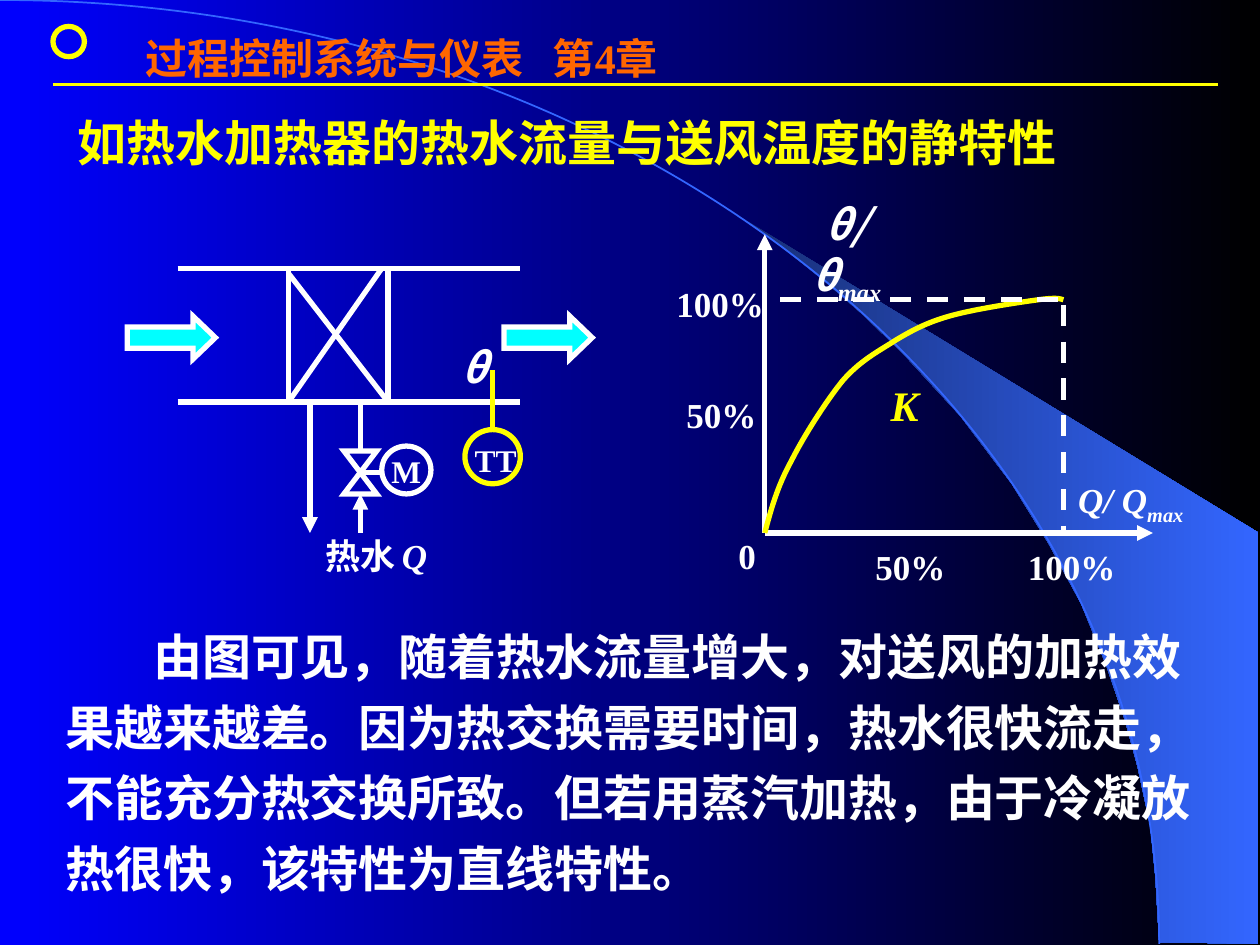
from lxml import etree
from pptx import Presentation
from pptx import util as u
from pptx.dml.color import RGBColor
from pptx.enum import dml, shapes, text
from pptx.oxml.ns import qn

COLORS = {
    "blue": "0000FF", "black": "000000", "navy": "182F76", "azure": "3366FF",
    "yellow": "FFFF00", "orange": "FF6600", "white": "FFFFFF", "cyan": "00FFFF",
}
LATIN, CHINESE = "Times New Roman", "Noto Sans CJK SC"
SHAPE = shapes.MSO_SHAPE


def rgb(name):
    return RGBColor.from_string(COLORS[name])


class SlideBuilder:
    """Holds the current slide and its default style."""

    def __init__(self, slide, weight=3, color="white"):
        self.slide, self.weight, self.color = slide, weight, color

    def gradient(self, fill, first, last):
        fill.gradient()
        fill.gradient_angle = 0
        for stop, name, position in zip(fill.gradient_stops, (first, last), (0, 1)):
            stop.color.rgb = rgb(name)
            stop.position = position

    def outline(self, line, color=None, weight=None):
        line.color.rgb = rgb(color or self.color)
        line.width = u.Pt(weight or self.weight)

    def shape(self, kind, left, top, width, height, color=None, fill=None):
        shape = self.slide.shapes.add_shape(kind, *map(u.Inches, (left, top, width, height)))
        shape.shadow.inherit = False
        if fill:
            shape.fill.solid()
            shape.fill.fore_color.rgb = rgb(fill)
        else:
            shape.fill.background()
        self.outline(shape.line, color)
        etree.SubElement(shape.line._get_or_add_ln(), qn("a:miter"), lim="800000")
        return shape

    def line(self, x1, y1, x2, y2, color=None, weight=None, arrow=False, dash=False):
        connector = self.slide.shapes.add_connector(
            shapes.MSO_CONNECTOR.STRAIGHT, *map(u.Inches, (x1, y1, x2, y2)))
        self.outline(connector.line, color, weight)
        if dash:
            connector.line.dash_style = dml.MSO_LINE.DASH
        if arrow:
            etree.SubElement(connector.line._get_or_add_ln(), qn("a:tailEnd"), type="triangle")
        etree.SubElement(connector._element.spPr, qn("a:effectLst"))

    def freeform(self, points, close=False):
        points = [(u.Inches(x), u.Inches(y)) for x, y in points]
        builder = self.slide.shapes.build_freeform(*points[0])
        builder.add_line_segments(points[1:], close=close)
        shape = builder.convert_to_shape()
        shape.shadow.inherit = False
        return shape

    def area(self, points, first, last):
        shape = self.freeform(points, close=True)
        self.gradient(shape.fill, first, last)
        shape.line.fill.background()

    def curve(self, points, color, weight=None):
        """A start point, then three points for each cubic segment."""
        shape = self.freeform(points)
        shape.fill.background()
        self.outline(shape.line, color, weight)
        segments = list(shape._element.iter(qn("a:lnTo")))
        for start in range(0, len(segments), 3):
            first, *others = segments[start:start + 3]
            cubic = etree.Element(qn("a:cubicBezTo"))
            first.addprevious(cubic)
            for segment in (first, *others):
                cubic.append(segment[0])
                segment.getparent().remove(segment)

    def text(self, left, top, width, height, runs, size=20, color=None, italic=False,
             font=LATIN, align="CENTER", wrap=False, spacing=None, indent=0, tab=None):
        """Each run is its text, or (text, font) for a subscript."""
        box = self.slide.shapes.add_textbox(*map(u.Inches, (left, top, width, height)))
        frame = box.text_frame
        frame.word_wrap = wrap
        frame.auto_size = text.MSO_AUTO_SIZE.NONE
        paragraph = frame.paragraphs[0]
        paragraph.alignment = getattr(text.PP_ALIGN, align)
        if spacing:
            paragraph.line_spacing = spacing
        properties = paragraph._p.get_or_add_pPr()
        if indent:
            properties.set("indent", str(u.Inches(indent)))
        if tab:
            tabs = etree.SubElement(properties, qn("a:tabLst"))
            etree.SubElement(tabs, qn("a:tab"), pos=str(u.Inches(tab)), algn="l")
        for item in runs:
            subscript = isinstance(item, tuple)
            run = paragraph.add_run()
            run.text = item[0] if subscript else item
            run.font.name = item[1] if subscript else font
            run.font.size = u.Pt(size)
            run.font.bold, run.font.italic = True, italic
            run.font.color.rgb = rgb(color or self.color)
            run_properties = run.font._element
            if subscript:
                run_properties.set("baseline", "-25000")
            etree.SubElement(run_properties, qn("a:ea"), typeface=CHINESE)


def draw_backdrop(builder):
    builder.gradient(builder.slide.background.fill, "blue", "black")
    builder.area([
        (9.2, 7.48), (9.99, 7.49), (9.99, 4.23), (5.89, 1.73), (6.24, 1.99),
        (6.53, 2.22), (6.85, 2.5), (7.16, 2.8), (7.62, 3.3), (8.03, 3.84),
        (8.32, 4.31), (8.58, 4.79), (8.78, 5.28), (8.93, 5.72), (9.03, 6.09),
        (9.13, 6.56), (9.17, 6.96)], "navy", "azure")
    builder.curve([(0, 0), (5.08, 0), (9.2, 3.35), (9.2, 7.49)], "azure", 1)
    # Header
    builder.line(0.42, 0.67, 9.67, 0.67, "yellow", 1.5)
    builder.text(1.06, 0.21, 4.49, 0.9, ["过程控制系统与仪表\t第4章"], 24, "orange",
                 align="LEFT", wrap=True, tab=3.23)
    builder.shape(SHAPE.OVAL, 0.42, 0.21, 0.25, 0.24, "yellow")


def draw_heater(builder):
    left, right, top, bottom = 2.29, 3.08, 2.13, 3.19
    pipe = 2.86
    # Heat exchanger in the air duct
    builder.shape(SHAPE.RECTANGLE, left, top, right - left, bottom - top)
    builder.line(left, 2.17, right, bottom)
    builder.line(3.03, top, left, bottom)
    for wall in (top, bottom):
        builder.line(1.41, wall, 4.13, wall)
    # Hot water pipes, valve and motor
    builder.line(pipe, bottom, pipe, 3.58)
    builder.shape(SHAPE.FLOWCHART_COLLATE, 2.73, 3.58, 0.26, 0.34)
    builder.line(pipe, 4.23, pipe, 3.92, arrow=True)
    builder.line(2.46, bottom, 2.46, 4.23, arrow=True)
    builder.line(pipe, 3.75, 3.03, 3.75)
    builder.shape(SHAPE.OVAL, 3.03, 3.54, 0.39, 0.38)
    builder.text(3.01, 3.54, 0.43, 0.4, ["M"], 18)
    # Air flow
    for x in (1.01, 4):
        arrow = builder.shape(SHAPE.RIGHT_ARROW, x, 2.51, 0.7, 0.34, fill="cyan")
        arrow.adjustments[1] = 0.52
    # Temperature transmitter
    builder.line(3.91, 2.94, 3.91, 3.41, "yellow")
    builder.shape(SHAPE.OVAL, 3.69, 3.41, 0.44, 0.43, "yellow")
    builder.text(3.67, 3.45, 0.53, 0.4, ["TT"], 18)
    builder.text(2.29, 4.19, 1.14, 0.44, ["热水"], wrap=True)
    builder.text(3.09, 4.19, 0.4, 0.44, ["Q"], italic=True)
    builder.text(3.57, 2.66, 0.39, 0.5, ["θ"], 24, italic=True, font=CHINESE)


def draw_characteristic(builder):
    x0, y0, x_full, y_full = 6.07, 4.23, 8.44, 2.38
    # Axis names
    builder.text(6.22, 1.53, 1, 0.56, ["θ/θ", ("max", LATIN)], 24,
                 italic=True, font=CHINESE, wrap=True)
    builder.text(8.46, 3.75, 1.03, 0.48, ["Q/ Q", ("max", LATIN)], italic=True)
    # Axes and scale
    builder.line(x0, y0, 9.15, y0, arrow=True)
    builder.line(x0, y0, x0, 1.86, arrow=True)
    for label, x, y, width in (("0", 5.76, 4.19, 0.34), ("50%", 6.85, 4.28, 0.75),
                               ("50%", 5.35, 3.07, 0.75), ("100%", 5.27, 2.19, 0.89),
                               ("100%", 8.06, 4.28, 0.89)):
        builder.text(x, y, width, 0.44, [label])
    # Curve and its limits
    builder.curve([
        (x0, y0), (6.12, 4.04), (6.17, 3.86), (6.28, 3.66), (6.38, 3.46), (6.56, 3.18),
        (6.69, 3.02), (6.83, 2.86), (6.97, 2.79), (7.11, 2.7), (7.26, 2.61), (7.38, 2.55),
        (7.57, 2.5), (7.76, 2.45), (8.09, 2.4), (8.24, 2.38), (8.38, 2.36), (8.41, 2.37),
        (x_full, y_full)], "yellow")
    builder.line(8.4, y_full, x0, y_full, dash=True)
    builder.line(x_full, 2.42, x_full, y0, dash=True)
    builder.text(6.97, 2.96, 0.42, 0.5, ["K"], 24, "yellow", italic=True)


def main():
    presentation = Presentation()
    presentation.slide_width, presentation.slide_height = u.Inches(10), u.Inches(7.5)
    builder = SlideBuilder(presentation.slides.add_slide(presentation.slide_layouts[6]))
    draw_backdrop(builder)
    builder.text(0.52, 0.75, 8.86, 0.66, ["如热水加热器的热水流量与送风温度的静特性"], 28,
                 "yellow", align="JUSTIFY", wrap=True, spacing=1.2)
    draw_heater(builder)
    draw_characteristic(builder)
    # Conclusion
    builder.text(0.42, 4.83, 9.35, 2.34, [
        "由图可见，随着热水流量增大，对送风的加热效果越来越差。因为热交换需要时间，"
        "热水很快流走，不能充分热交换所致。但若用蒸汽加热，由于冷凝放热很快，"
        "该特性为直线特性。"], 28, align="LEFT", wrap=True, spacing=1.2, indent=0.7)
    presentation.save("out.pptx")


if __name__ == "__main__":
    main()
